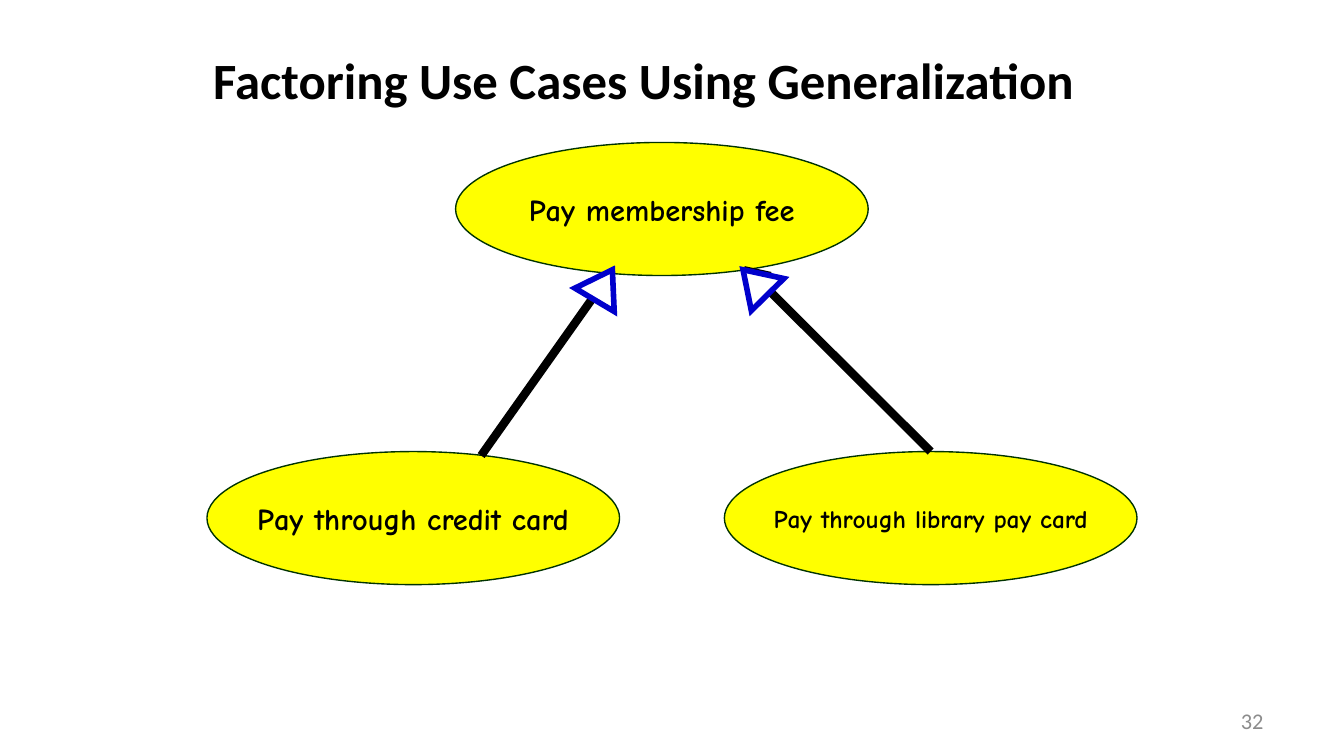
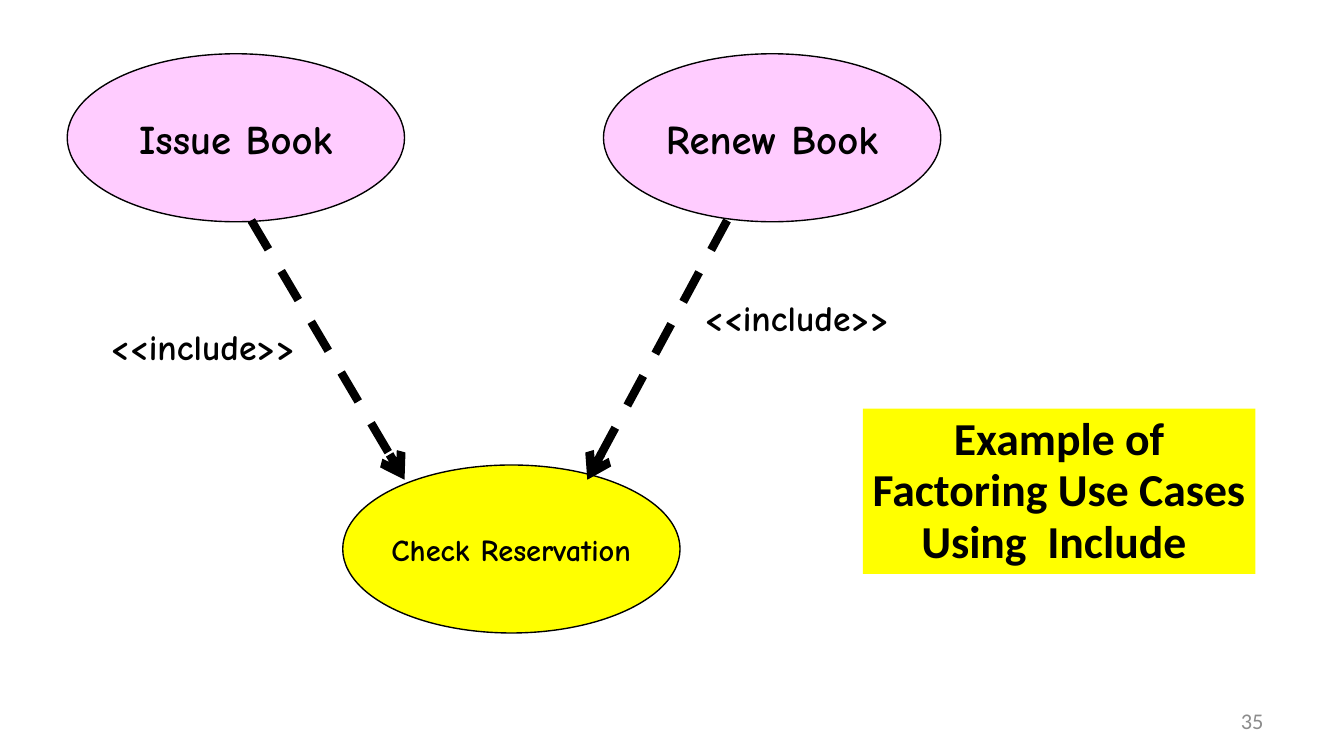
from pptx import Presentation, util as u
from pptx.dml.color import RGBColor
from pptx.enum import dml, shapes, text
from pptx.oxml.ns import qn
from lxml import etree

PX = 9144  # EMU per px, 100 px to the inch


class Theme:
    ink, grey, white = "000000", "8C8C8C", "FFFFFF"
    yellow, pink, green, blue = "FFFF00", "FFCCFF", "003300", "0000CC"
    head, hand = "Calibri", "Comic Neue"
    thin, mid, thick = 0.75, 3, 4.5
    foot = 12
    small, base, label, big = 13.6, 16.3, 19.1, 21.8


# Content: cases are (words, left, top, fill, type size),
# links are (from, to, index of the case joined at its top or None)
SLIDES = [
    dict(
        title=("Factoring Use Cases Using Generalization ", (0, 11, 967, 101), 27.2, None),
        size=(307, 99), edge=Theme.green, dash=False, page="32",
        cases=[
            ("Pay membership fee", 339, 106, Theme.yellow, Theme.base),
            ("Pay through library pay card", 539, 336, Theme.yellow, Theme.small),
            ("Pay through credit card", 154, 336, Theme.yellow, Theme.base),
        ],
        links=[((358, 339), (455, 202), None), ((693, 336), (554, 198), 1)],
        tips=[(432, 199, 30.7), (545, 197, 315.3)],
        labels=[],
    ),
    dict(
        title=("Example of Factoring Use Cases Using  Include ", (642, 304, 292, 123), 24.5,
               Theme.yellow),
        size=(251, 125), edge=Theme.ink, dash=True, page="35",
        cases=[
            ("Issue Book", 50, 40, Theme.pink, Theme.big),
            ("Check Reservation", 255, 346, Theme.yellow, Theme.base),
            ("Renew Book", 449, 40, Theme.pink, Theme.big),
        ],
        links=[((187, 164), (301, 357), None), ((541, 164), (437, 357), None)],
        tips=[],
        labels=[("<<include>>", 74, 238), ("<<include>>", 516, 216)],
    ),
]
WIDE = 1000
TIP = (34, 26)
LABEL = (167, 40)
PAGE = (717, 521, 233, 30)


def emu(*vals):
    return [u.Emu(v * PX) for v in vals]


def rgb(code):
    return RGBColor.from_string(code)


def write(shape, words, size, font=Theme.hand, color=Theme.ink, bold=True, wrap=False,
          align=text.PP_ALIGN.CENTER, anchor=text.MSO_ANCHOR.MIDDLE, side=8, **para):
    frame = shape.text_frame
    left, top = emu(side, 4)
    form = dict(word_wrap=wrap, vertical_anchor=anchor, margin_left=left,
                margin_right=left, margin_top=top, margin_bottom=top)
    for key, val in form.items():
        setattr(frame, key, val)
    line = frame.paragraphs[0]
    for key, val in dict(para, alignment=align).items():
        setattr(line, key, val)
    run = line.add_run()
    run.text = words
    for key, val in dict(name=font, size=u.Pt(size), bold=bold).items():
        setattr(run.font, key, val)
    run.font.color.rgb = rgb(color)


def paint(shape, fill, edge, width):
    shape.shadow.inherit = False
    shape.fill.solid()
    shape.fill.fore_color.rgb = rgb(fill)
    shape.line.color.rgb = rgb(edge)
    shape.line.width = u.Pt(width)


def trim(shape, tag, **vals):
    etree.SubElement(shape._element.spPr.find(qn("a:ln")), qn(tag), **vals)


def head(slide, words, box, size, fill):
    shape = slide.shapes.add_textbox(*emu(*box))
    if fill:
        shape.fill.solid()
        shape.fill.fore_color.rgb = rgb(fill)
    write(shape, words, size, Theme.head, wrap=True, side=1,
          line_spacing=0.94, space_before=u.Pt(9.3))


def case(slide, data, words, left, top, fill, size):
    oval = slide.shapes.add_shape(shapes.MSO_SHAPE.OVAL, *emu(left, top, *data["size"]))
    paint(oval, fill, data["edge"], Theme.thin)
    write(oval, words, size)
    return oval


def link(slide, start, end, dash, oval):
    line = slide.shapes.add_connector(shapes.MSO_CONNECTOR.STRAIGHT, *emu(*start, *end))
    if oval is not None:
        line.begin_connect(oval, 0)
    line.line.color.rgb = rgb(Theme.ink)
    line.line.width = u.Pt(Theme.thick)
    if dash:
        line.line.dash_style = dml.MSO_LINE.DASH
    trim(line, "a:tailEnd", type="arrow")
    etree.SubElement(line._element.spPr, qn("a:effectLst"))


def tip(slide, left, top, turn):
    shape = slide.shapes.add_shape(shapes.MSO_SHAPE.ISOSCELES_TRIANGLE, *emu(left, top, *TIP))
    paint(shape, Theme.white, Theme.blue, Theme.mid)
    trim(shape, "a:miter", lim="800000")
    shape.rotation = turn


def build(deck, data):
    slide = deck.slides.add_slide(deck.slide_layouts[6])
    head(slide, *data["title"])
    # Use cases and the lines between them
    ovals = [case(slide, data, *item) for item in data["cases"]]
    for start, end, owner in data["links"]:
        link(slide, start, end, data["dash"], None if owner is None else ovals[owner])
    for item in data["tips"]:
        tip(slide, *item)
    # Line labels
    for words, left, top in data["labels"]:
        box = slide.shapes.add_textbox(*emu(left, top, *LABEL))
        write(box, words, Theme.label, align=text.PP_ALIGN.LEFT, anchor=text.MSO_ANCHOR.TOP)
    # Page number
    write(slide.shapes.add_textbox(*emu(*PAGE)), data["page"], Theme.foot, Theme.head,
          Theme.grey, bold=False, wrap=True, align=text.PP_ALIGN.RIGHT, side=10)


def main():
    deck = Presentation()
    # 16:9 page
    deck.slide_width = u.Emu(WIDE * PX)
    deck.slide_height = u.Emu(WIDE * PX * 9 // 16)
    for data in SLIDES:
        build(deck, data)
    deck.save("out.pptx")


if __name__ == "__main__":
    main()
